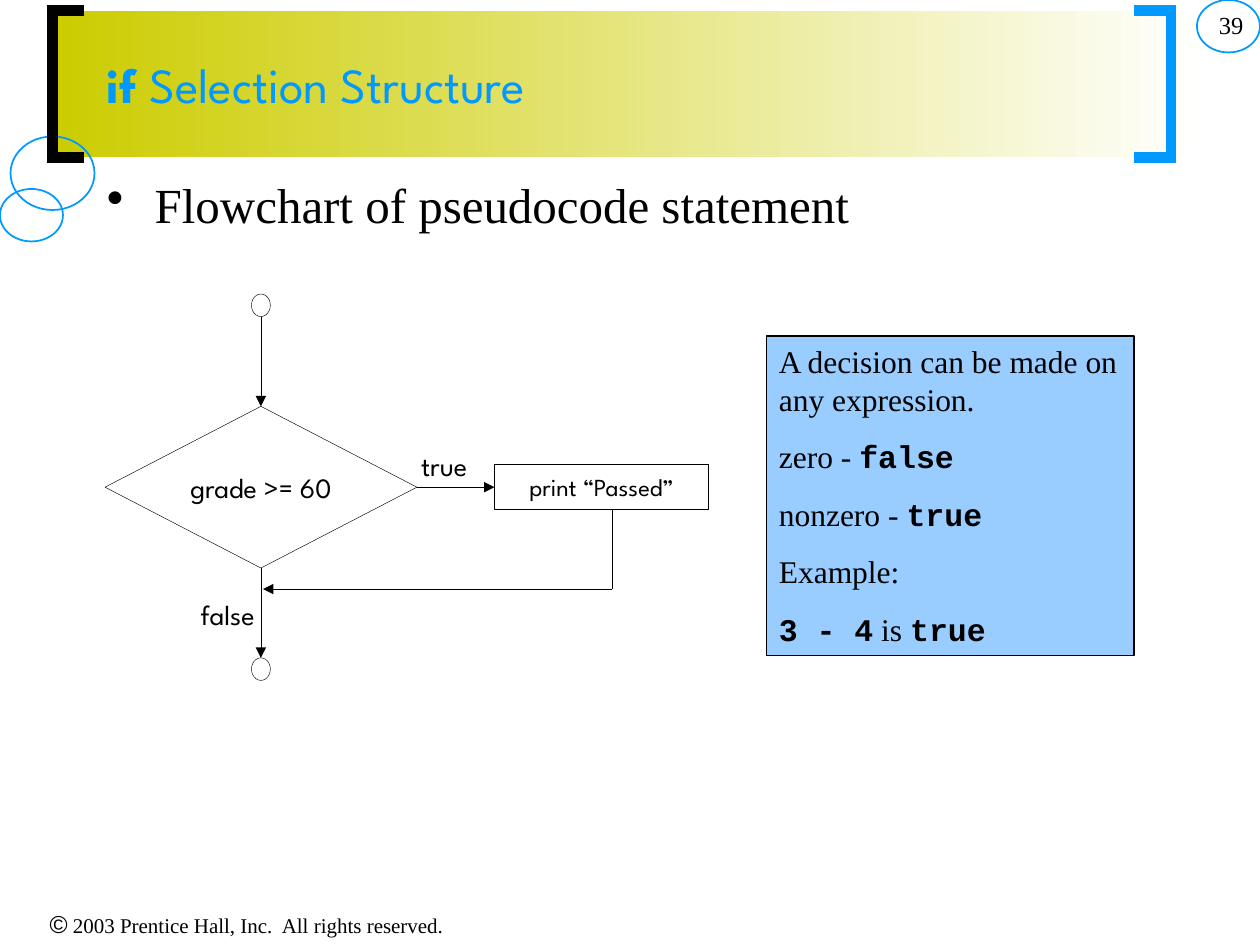
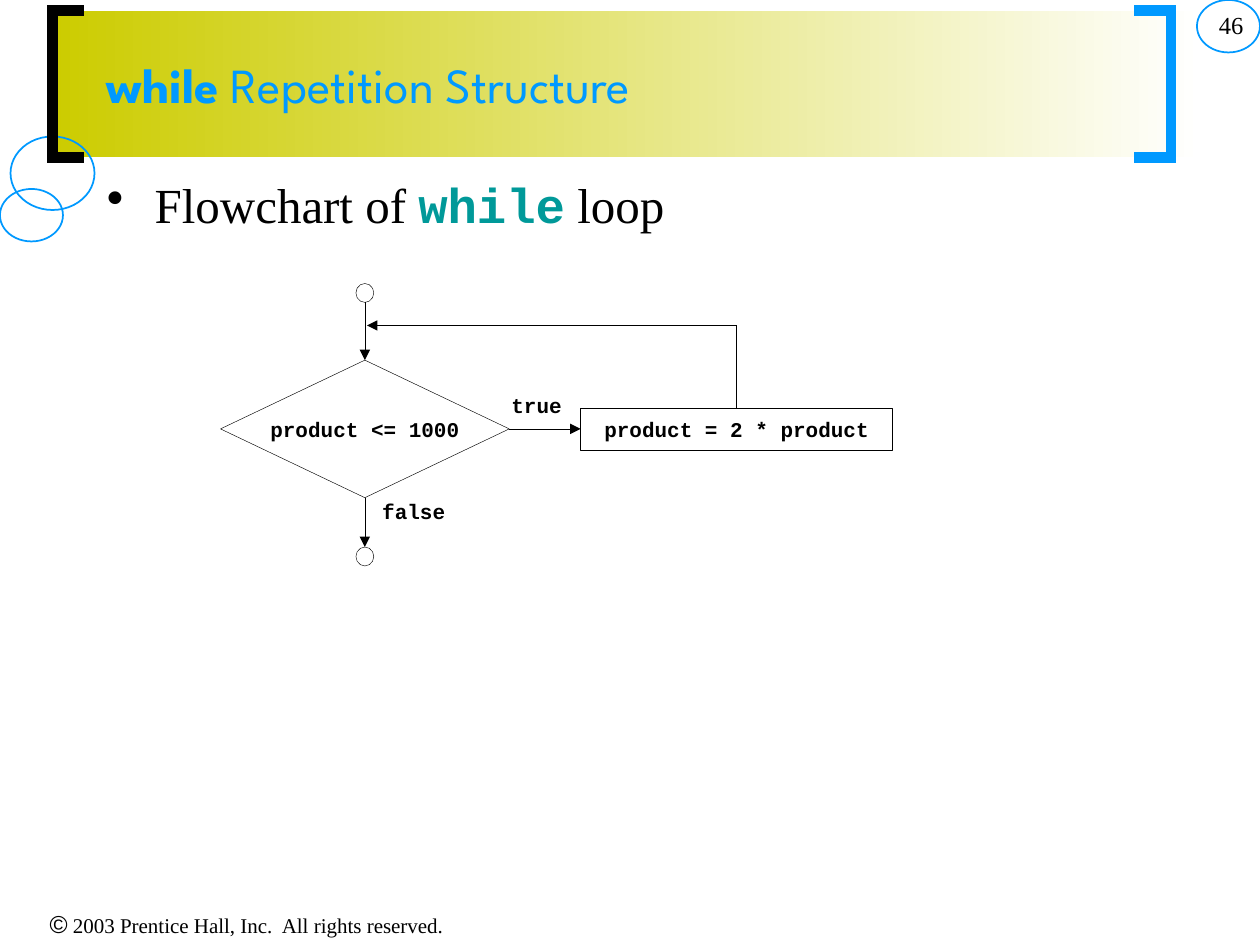
from dataclasses import dataclass

from lxml import etree
from pptx import Presentation
from pptx.dml.color import RGBColor
from pptx.enum.shapes import MSO_CONNECTOR, MSO_SHAPE
from pptx.enum.text import MSO_ANCHOR, PP_ALIGN
from pptx.oxml.ns import qn
from pptx.util import Inches, Pt

RECTANGLE, OVAL, DIAMOND = MSO_SHAPE.RECTANGLE, MSO_SHAPE.OVAL, MSO_SHAPE.DIAMOND
STRAIGHT = MSO_CONNECTOR.STRAIGHT
TOP, MIDDLE = MSO_ANCHOR.TOP, MSO_ANCHOR.MIDDLE
LEFT, CENTER, RIGHT = PP_ALIGN.LEFT, PP_ALIGN.CENTER, PP_ALIGN.RIGHT
SIDE_TOP, SIDE_LEFT, SIDE_BOTTOM, SIDE_RIGHT = range(4)

BLACK, WHITE, BLUE = "000000", "FFFFFF", "0099FF"
OLIVE, TEAL, PALE_BLUE = "CCCC00", "009999", "99CCFF"
SERIF, MONO, DISPLAY, SANS = "Times New Roman", "Courier New", "League Spartan", "Arial"

SLIDE_WIDTH, SLIDE_HEIGHT = Inches(10), Inches(7.5)
COLUMNS, ROWS = 120, 90
HAIRLINE = 0.25


@dataclass
class Style:
    font: str
    size: float
    color: str = BLACK
    bold: bool = False


@dataclass
class Flow:
    box: tuple
    diamond: tuple
    dot: tuple
    step: tuple
    merge_row: float
    true_at: tuple
    false_at: tuple
    condition: str
    action: str
    style: Style
    action_style: Style
    return_shift: float = 0


def col(count):
    return round(SLIDE_WIDTH * count / COLUMNS)


def row(count):
    return round(SLIDE_HEIGHT * count / ROWS)


def place(box):
    left, top, width, height = box
    return col(left), row(top), col(width), row(height)


def rgb(color):
    return RGBColor.from_string(color)


def add_line_detail(shape, tag, **attributes):
    ln = shape.element.spPr.find(qn("a:ln"))
    etree.SubElement(ln, qn(tag), attributes)


def outline(shape, color, width):
    shape.line.color.rgb = rgb(color)
    shape.line.width = Pt(width)


def add_outlined(slide, kind, box, color=BLACK, width=HAIRLINE, fill=None):
    shape = slide.shapes.add_shape(kind, *place(box))
    shape.shadow.inherit = False
    if fill:
        shape.fill.solid()
        shape.fill.fore_color.rgb = rgb(fill)
    else:
        shape.fill.background()
    outline(shape, color, width)
    return shape


def write(shape, paragraphs, align=LEFT, anchor=TOP, wrap=True, inset=True, gap=0):
    frame = shape.text_frame
    frame.word_wrap = wrap
    frame.vertical_anchor = anchor
    frame.margin_left = frame.margin_right = Inches(0.1 if inset else 0)
    frame.margin_top = frame.margin_bottom = Inches(0.05 if inset else 0)
    for index, pieces in enumerate(paragraphs):
        paragraph = frame.add_paragraph() if index else frame.paragraphs[0]
        paragraph.alignment = align
        if index:
            paragraph.space_before = Pt(gap)
        for text, style in pieces:
            run = paragraph.add_run()
            run.text = text
            run.font.name = style.font
            run.font.size = Pt(style.size)
            run.font.bold = style.bold
            run.font.color.rgb = rgb(style.color)


def add_text(slide, box, pieces, **layout):
    text = slide.shapes.add_textbox(*place(box))
    write(text, [pieces], **layout)
    return text


def add_bracket(slide, box, open_right, color):
    left, top, width, height = place(box)
    spine, tips = (left, left + width) if open_right else (left + width, left)
    builder = slide.shapes.build_freeform(tips, top)
    builder.add_line_segments(
        [(spine, top), (spine, top + height), (tips, top + height)], close=False)
    bracket = builder.convert_to_shape()
    bracket.shadow.inherit = False
    bracket.fill.background()
    outline(bracket, color, 6)
    add_line_detail(bracket, "a:miter", lim="800000")


def add_path(slide, start, end, begin=None, finish=None, arrow=True):
    path_line = slide.shapes.add_connector(
        STRAIGHT, col(start[0]), row(start[1]), col(end[0]), row(end[1]))
    if begin:
        path_line.begin_connect(*begin)
    if finish:
        path_line.end_connect(*finish)
    outline(path_line, BLACK, HAIRLINE)
    if arrow:
        add_line_detail(path_line, "a:tailEnd", type="triangle")
    etree.SubElement(path_line.element.spPr, qn("a:effectLst"))


def add_header(slide, box, title, number):
    left, top, width, height = box
    band = add_outlined(slide, RECTANGLE, box)
    band.line.fill.background()
    band.fill.gradient()
    band.fill.gradient_angle = 180
    for stop, color in zip(band.fill.gradient_stops, (WHITE, OLIVE)):
        stop.color.rgb = rgb(color)

    add_outlined(slide, OVAL, (left - 4, top + 12, 8, 7), BLUE, 1)
    add_bracket(slide, (left, top, 3, height), True, BLACK)
    add_bracket(slide, (left + 103, top, 3.5, height), False, BLUE)
    for corner in ((0, 18), (COLUMNS - 6, 0)):
        add_outlined(slide, OVAL, (*corner, 6, 5), BLUE, 1)

    keyword, rest = title
    add_text(slide, (left + 4, top, 102, height),
             [(keyword, Style(DISPLAY, 28, BLUE, True)), (rest, Style(DISPLAY, 28, BLUE))],
             anchor=MIDDLE)
    add_text(slide, (94.6, 0.4, 25, 6), [(number, Style(SERIF, 14))], align=RIGHT)


def add_footer(slide, box):
    add_text(slide, box,
             [("©", Style(SANS, 14)),
              (" 2003 Prentice Hall, Inc.  All rights reserved.", Style(SERIF, 12))],
             align=CENTER)


def add_bullet(slide, box, pieces):
    body = add_text(slide, box, pieces)
    properties = body.text_frame.paragraphs[0]._p.get_or_add_pPr()
    properties.set("marL", str(Inches(0.38)))
    properties.set("indent", str(-Inches(0.38)))
    etree.SubElement(properties, qn("a:buChar"), char="•")


def add_flowchart(slide, flow):
    left, top, width, height = flow.box
    diamond_top, diamond_width, diamond_height = flow.diamond
    step_left, step_width, step_height = flow.step
    dot_width, dot_height = flow.dot
    axis = left + diamond_width / 2
    middle = top + diamond_top + diamond_height / 2
    merge = top + flow.merge_row

    decision = add_outlined(
        slide, DIAMOND, (left, top + diamond_top, diamond_width, diamond_height), fill=WHITE)
    step = add_outlined(
        slide, RECTANGLE,
        (left + step_left, middle - step_height / 2, step_width, step_height))
    for shape, text, style in ((decision, flow.condition, flow.style),
                               (step, flow.action, flow.action_style)):
        write(shape, [[(text, style)]], align=CENTER, anchor=MIDDLE, wrap=False, inset=False)

    end_top = top + height - dot_height
    for dot_top in (top, end_top):
        add_outlined(slide, OVAL, (axis - dot_width / 2, dot_top, dot_width, dot_height))

    add_path(slide, (axis, top + dot_height), (axis, top + diamond_top),
             finish=(decision, SIDE_TOP))
    add_path(slide, (axis, middle + diamond_height / 2), (axis, end_top),
             begin=(decision, SIDE_BOTTOM))
    add_path(slide, (left + diamond_width, middle), (left + step_left, middle),
             begin=(decision, SIDE_RIGHT), finish=(step, SIDE_LEFT))

    goes_down = merge > middle
    exit_row = middle + (step_height if goes_down else -step_height) / 2
    turn = left + step_left + step_width / 2 + flow.return_shift
    exit_side = (step, SIDE_BOTTOM if goes_down else SIDE_TOP)
    add_path(slide, (turn, exit_row), (turn, merge),
             begin=None if flow.return_shift else exit_side, arrow=False)
    add_path(slide, (turn, merge), (axis + 0.2, merge))

    for label, (x, y) in (("true", flow.true_at), ("false", flow.false_at)):
        add_text(slide, (left + x, top + y, 8, 4), [(label, flow.style)],
                 wrap=False, inset=False)


def add_decision_note(slide, box):
    plain, code = Style(SERIF, 18), Style(MONO, 18, bold=True)
    note = add_outlined(slide, RECTANGLE, box, width=0.75, fill=PALE_BLUE)
    write(note, [
        [("A decision can be made on any expression.", plain)],
        [("zero - ", plain), ("false", code)],
        [("nonzero - ", plain), ("true", code)],
        [("Example:", plain)],
        [("3 - 4", code), (" is ", plain), ("true", code)],
    ], gap=11.2)


def add_flow_slide(deck, number, title, bullet, flow):
    slide = deck.slides.add_slide(deck.slide_layouts[6])
    add_header(slide, (5, 1, 109.5, 14), title, number)
    add_footer(slide, (0, 86, 47, 4))
    add_bullet(slide, (9, 16, 102, 69), bullet)
    add_flowchart(slide, flow)
    return slide


def main():
    deck = Presentation()
    deck.slide_width, deck.slide_height = SLIDE_WIDTH, SLIDE_HEIGHT
    body = Style(SERIF, 28)
    code = Style(MONO, 12, bold=True)

    if_flow = Flow(
        box=(10, 28, 57.4, 36.8), diamond=(10.7, 29.7, 15.4), dot=(1.8, 2.15),
        step=(37.1, 20.4, 4.3), merge_row=28.1, true_at=(30.1, 14.75),
        false_at=(9.1, 28.9), condition="grade >= 60", action="print “Passed”",
        style=Style(DISPLAY, 16), action_style=Style(DISPLAY, 14), return_shift=1)
    if_slide = add_flow_slide(deck, "39", ("if ", "Selection Structure"),
                              [("Flowchart of pseudocode statement", body)], if_flow)
    add_decision_note(if_slide, (73, 32, 35, 30.4))

    while_flow = Flow(
        box=(21, 27, 64, 26.9), diamond=(7.3, 27.5, 13.1), dot=(1.7, 1.8),
        step=(34.3, 29.7, 4), merge_row=4, true_at=(27.7, 10.4),
        false_at=(15.4, 20.5), condition="product <= 1000",
        action="product = 2 * product", style=code, action_style=code)
    add_flow_slide(deck, "46", ("while", " Repetition Structure"),
                   [("Flowchart of ", body), ("while", Style(MONO, 28, TEAL, True)),
                    (" loop", body)], while_flow)

    deck.save("out.pptx")


if __name__ == "__main__":
    main()
